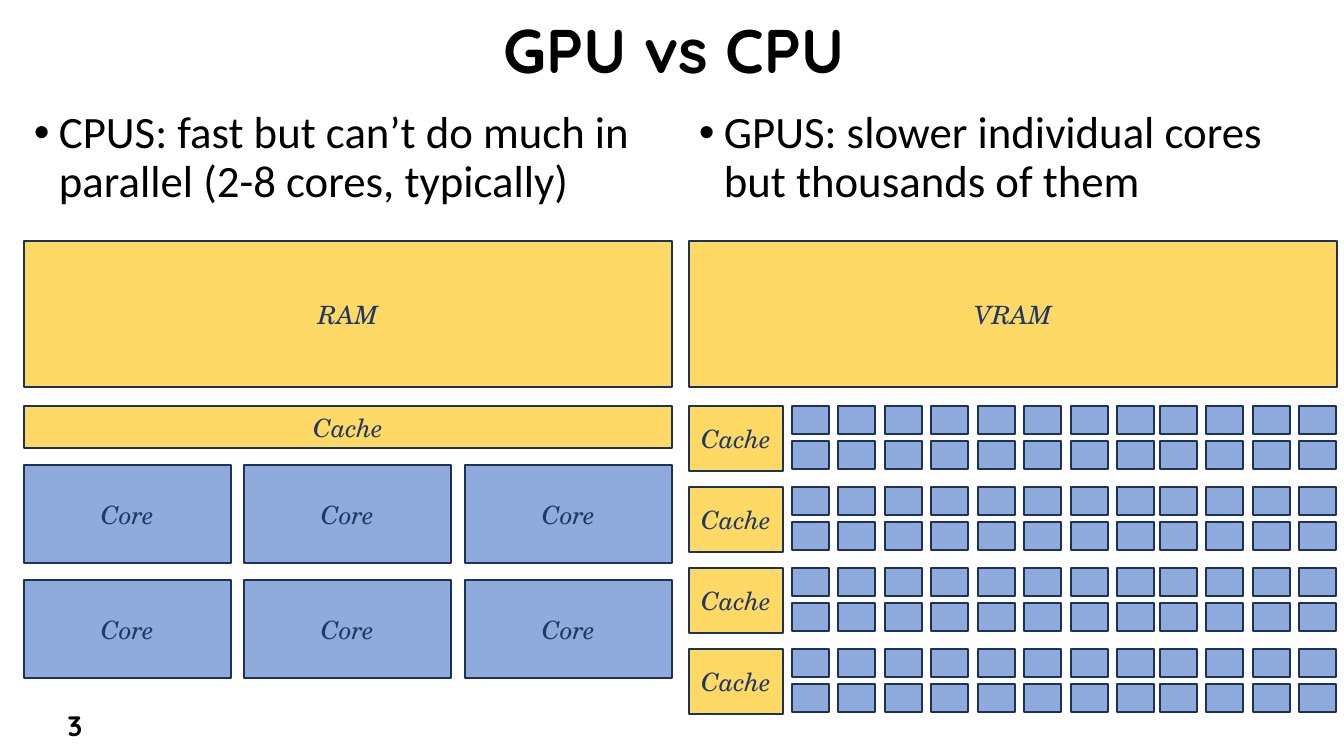
from dataclasses import dataclass

from lxml import etree
from pptx import Presentation
from pptx.dml.color import RGBColor
from pptx.enum.shapes import MSO_SHAPE
from pptx.enum.text import MSO_ANCHOR, PP_ALIGN
from pptx.oxml.ns import qn
from pptx.shapes.shapetree import SlideShapes
from pptx.slide import Slide
from pptx.text.text import TextFrame
from pptx.util import Emu, Pt

RECTANGLE = MSO_SHAPE.RECTANGLE
CENTER, LEFT = PP_ALIGN.CENTER, PP_ALIGN.LEFT
MIDDLE, TOP = MSO_ANCHOR.MIDDLE, MSO_ANCHOR.TOP

SLIDE_WIDTH, SLIDE_HEIGHT = 1344, 756
EMU_PER_PX = 12192000 / SLIDE_WIDTH

CPU_LEFT, GPU_LEFT = 24, 689
PANEL_WIDTH = 648
MEMORY_TOP, MEMORY_HEIGHT = 241, 146
CACHE_TOP = 406

CPU_CACHE_HEIGHT = 42
CPU_CORE_TOP, CPU_CORE_WIDTH, CPU_CORE_HEIGHT = 465, 207, 98
CPU_CORE_ROW_PITCH = 115
CPU_CORE_ROWS, CPU_CORE_COLUMNS = 2, 3

GPU_CACHE_WIDTH, GPU_CACHE_HEIGHT = 94, 65
GPU_BANKS, GPU_BANK_PITCH = 4, 81
GPU_CORE_WIDTH, GPU_CORE_HEIGHT = 37, 28
GPU_CORE_RUNS = ((792, 8), (1160, 4))
GPU_CORE_PAIR_PITCH = 93
GPU_CORE_ROWS, GPU_CORE_ROW_PITCH = 2, 35

BULLET_INDENT = 25


@dataclass(frozen=True)
class TextStyle:
    font: str
    size: int
    color: RGBColor
    bold: bool = False
    italic: bool = False
    line_spacing: float = 1.0
    align: PP_ALIGN = CENTER
    anchor: MSO_ANCHOR = MIDDLE
    bullet: bool = False


@dataclass(frozen=True)
class Theme:
    black = RGBColor.from_string("000000")
    label_ink = RGBColor.from_string("203864")
    outline = RGBColor.from_string("1E3256")
    memory = RGBColor.from_string("FFD966")
    core = RGBColor.from_string("8FAADC")
    outline_width = 1
    title = TextStyle("Quicksand", 44, black, bold=True, line_spacing=0.9)
    body = TextStyle("Calibri", 32, black, line_spacing=0.9, align=LEFT, anchor=TOP, bullet=True)
    number = TextStyle("Quicksand", 20, black, bold=True)
    label = TextStyle("TeX Gyre Schola", 18, label_ink, italic=True)


THEME = Theme()


@dataclass(frozen=True)
class Caption:
    left: int
    top: int
    width: int
    height: int
    text: str
    style: TextStyle


@dataclass(frozen=True)
class Block:
    left: int
    top: int
    width: int
    height: int
    fill: RGBColor
    label: str = ""


CAPTIONS = (
    Caption(24, 12, 1300, 83, "GPU vs CPU", THEME.title),
    Caption(CPU_LEFT, 105, PANEL_WIDTH, 116,
            "CPUS: fast but can’t do much in parallel (2-8 cores, typically)", THEME.body),
    Caption(24, 700, 102, 51, "3", THEME.number),
    Caption(GPU_LEFT, 105, PANEL_WIDTH, 116,
            "GPUS: slower individual cores but thousands of them", THEME.body),
)


def px(length: int) -> Emu:
    return Emu(round(length * EMU_PER_PX))


def bounds(item: Caption | Block) -> tuple[Emu, Emu, Emu, Emu]:
    return px(item.left), px(item.top), px(item.width), px(item.height)


def write_text(frame: TextFrame, text: str, style: TextStyle) -> None:
    frame.word_wrap = True
    frame.vertical_anchor = style.anchor
    para = frame.paragraphs[0]
    para.text = text
    para.alignment = style.align
    para.line_spacing = style.line_spacing
    if style.bullet:
        properties = para._p.get_or_add_pPr()
        properties.set("marL", str(px(BULLET_INDENT)))
        properties.set("indent", str(-px(BULLET_INDENT)))
        etree.SubElement(properties, qn("a:buFont")).set("typeface", "Arial")
        etree.SubElement(properties, qn("a:buChar")).set("char", "•")
    font = para.runs[0].font
    font.name = style.font
    font.size = Pt(style.size)
    font.bold = style.bold
    font.italic = style.italic
    font.color.rgb = style.color


def draw_caption(shapes: SlideShapes, caption: Caption) -> None:
    box = shapes.add_textbox(*bounds(caption))
    write_text(box.text_frame, caption.text, caption.style)


def draw_block(shapes: SlideShapes, block: Block) -> None:
    box = shapes.add_shape(RECTANGLE, *bounds(block))
    box.shadow.inherit = False
    box.fill.solid()
    box.fill.fore_color.rgb = block.fill
    box.line.color.rgb = THEME.outline
    box.line.width = Pt(THEME.outline_width)
    if block.label:
        write_text(box.text_frame, block.label, THEME.label)


def cpu_blocks() -> list[Block]:
    free_width = PANEL_WIDTH - CPU_CORE_WIDTH
    blocks = [
        Block(CPU_LEFT, MEMORY_TOP, PANEL_WIDTH, MEMORY_HEIGHT, THEME.memory, "RAM"),
        Block(CPU_LEFT, CACHE_TOP, PANEL_WIDTH, CPU_CACHE_HEIGHT, THEME.memory, "Cache"),
    ]
    for row in range(CPU_CORE_ROWS):
        for column in range(CPU_CORE_COLUMNS):
            left = CPU_LEFT + round(column * free_width / (CPU_CORE_COLUMNS - 1))
            top = CPU_CORE_TOP + row * CPU_CORE_ROW_PITCH
            blocks.append(Block(left, top, CPU_CORE_WIDTH, CPU_CORE_HEIGHT, THEME.core, "Core"))
    return blocks


def gpu_blocks() -> list[Block]:
    core_lefts = [start + column * GPU_CORE_PAIR_PITCH // 2
                  for start, count in GPU_CORE_RUNS for column in range(count)]
    blocks = [Block(GPU_LEFT, MEMORY_TOP, PANEL_WIDTH, MEMORY_HEIGHT, THEME.memory, "VRAM")]
    for bank in range(GPU_BANKS):
        bank_top = CACHE_TOP + bank * GPU_BANK_PITCH
        blocks.append(Block(GPU_LEFT, bank_top, GPU_CACHE_WIDTH, GPU_CACHE_HEIGHT,
                            THEME.memory, "Cache"))
        for left in core_lefts:
            for row in range(GPU_CORE_ROWS):
                top = bank_top + row * GPU_CORE_ROW_PITCH
                blocks.append(Block(left, top, GPU_CORE_WIDTH, GPU_CORE_HEIGHT, THEME.core))
    return blocks


def draw_page(page: Slide) -> None:
    for caption in CAPTIONS:
        draw_caption(page.shapes, caption)
    for block in cpu_blocks() + gpu_blocks():
        draw_block(page.shapes, block)


def main() -> None:
    deck = Presentation()
    deck.slide_width = px(SLIDE_WIDTH)
    deck.slide_height = px(SLIDE_HEIGHT)
    draw_page(deck.slides.add_slide(deck.slide_layouts[6]))
    deck.save("out.pptx")


if __name__ == "__main__":
    main()
